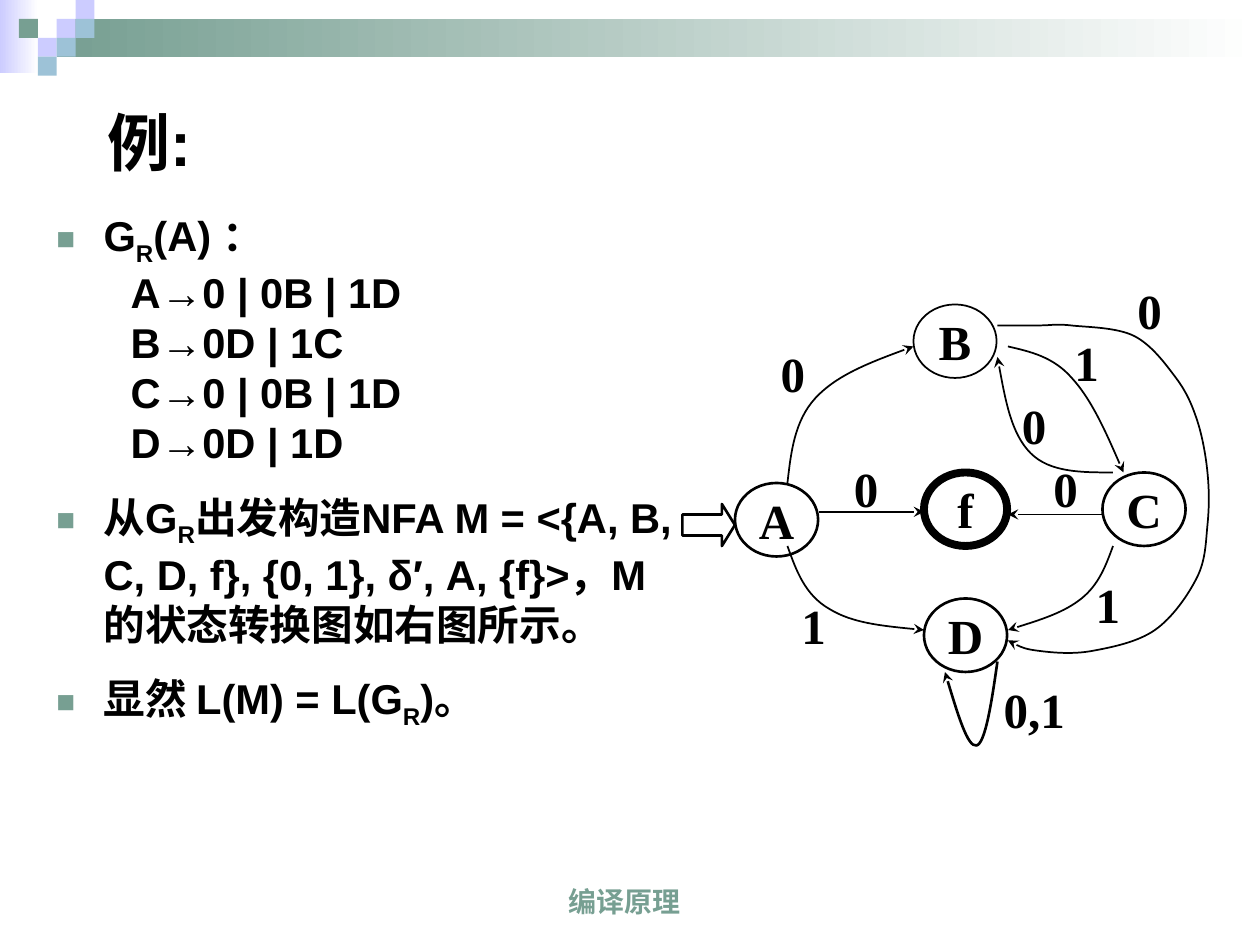
from lxml import etree
from pptx import Presentation
from pptx.dml.color import RGBColor
from pptx.enum.shapes import MSO_CONNECTOR, MSO_SHAPE
from pptx.enum.text import MSO_ANCHOR, MSO_AUTO_SIZE, PP_ALIGN
from pptx.oxml.ns import qn
from pptx.util import Pt

RECTANGLE, OVAL, RIGHT_ARROW = MSO_SHAPE.RECTANGLE, MSO_SHAPE.OVAL, MSO_SHAPE.RIGHT_ARROW
STRAIGHT = MSO_CONNECTOR.STRAIGHT
LEFT, CENTER = PP_ALIGN.LEFT, PP_ALIGN.CENTER
TOP, MIDDLE, BOTTOM = MSO_ANCHOR.TOP, MSO_ANCHOR.MIDDLE, MSO_ANCHOR.BOTTOM
NO_AUTOFIT = MSO_AUTO_SIZE.NONE

COLORS = {"green": "779F92", "lilac": "CCCCFF", "blue": "9DC2D7",
          "white": "FFFFFF", "black": "000000"}

TITLE = "例:"
FOOTER = "编译原理"
# (kind, text); "_" stands before a one-letter subscript
BODY = [
    ("item", "G_R(A) ："),
    ("rule", "A→0 | 0B | 1D"),
    ("rule", "B→0D | 1C"),
    ("rule", "C→0 | 0B | 1D"),
    ("rule", "D→0D | 1D"),
    ("item", "从G_R出发构造NFA M = <{A, B, C, D, f}, {0, 1}, δ′, A, {f}>，M的状态转换图如右图所示。"),
    ("item", "显然 L(M) = L(G_R)。"),
]

# (left, top, width, height, colour fading to white)
BANDS = [(0, 0, 22, 42, "lilac"), (32.4, 10.8, 687.6, 21.6, "green")]
TILE = 10.8
# (column, row, colour)
TILES = [(3, 1, "lilac"), (4, 0, "lilac"), (4, 1, "blue"), (2, 2, "lilac"),
         (1, 1, "green"), (3, 2, "blue"), (2, 3, "blue")]

STATE_SIZE = (47.5, 42)
# (name, left, top, line width)
STATES = [("A", 420, 276, 1.5), ("B", 522, 174, 1), ("C", 630, 270, 1.5),
          ("D", 528, 342, 1.5), ("f", 528, 270, 4.5)]
LABEL_SIZE = (66, 42)
LABELS = [("1", 588, 186), ("0", 420, 192), ("0,1", 558, 384), ("1", 432, 336),
          ("1", 600, 324), ("0", 558, 222), ("0", 624, 156), ("0", 462, 258),
          ("0", 576, 258)]
START_ARROW = (390, 288, 30, 24)
STRAIGHT_EDGES = [(468, 292.5, 528, 292.5), (630, 294, 576, 294)]
# (line width, start point followed by three Bézier points per segment)
CURVED_EDGES = {
    "D to D": (1.5, [(570, 378), (566.6, 402), (563, 425), (558, 426),
                     (553, 427), (546.5, 405.5), (540, 384)]),
    "A to B": (1, [(450, 276), (452, 258.5), (454, 240.5), (466, 227.5),
                   (478, 214.5), (500, 206), (522, 198)]),
    "A to D": (1, [(450, 312), (455, 326), (460, 340), (474, 348),
                   (487, 356), (507, 358), (528, 360)]),
    "C to B": (1, [(636, 270), (618, 270), (600, 270), (589, 259),
                   (578, 248), (574, 226), (570, 204)]),
    "B to C": (1, [(576, 198), (589, 201), (602, 204), (612.5, 216),
                   (623.5, 228), (633, 249), (642, 270)]),
    "C to D": (1, [(636, 312), (632, 323), (628, 334), (618, 342),
                   (608, 350), (592, 355), (576, 360)]),
    "B to D": (1, [(570, 186), (578, 186), (587, 186), (594, 186),
                   (601, 186), (603, 185), (612, 186), (620.5, 187), (638, 187), (648, 192),
                   (658, 197), (666, 208), (672, 216), (678, 224), (681, 231), (684, 240),
                   (687, 249), (689, 260), (690, 270), (691, 280), (691, 290), (690, 300),
                   (689, 310), (689, 320), (684, 330), (679, 340), (670, 353), (660, 360),
                   (650, 367), (635, 370), (624, 372), (613, 374), (602, 373), (594, 372),
                   (586, 371), (581, 369), (576, 366)]),
}


def rgb(name):
    return RGBColor.from_string(COLORS[name])


def points(values):
    return [Pt(value) for value in values]


def write(paragraph, text, size=28, font="Times New Roman", color="black", align=CENTER):
    """Write bold text, turning the letter after each "_" into a subscript."""
    paragraph.alignment = align
    first, *others = text.split("_")
    pieces = [(first, False)]
    for other in others:
        pieces += [(other[0], True), (other[1:], False)]
    for piece, subscript in pieces:
        run = paragraph.add_run()
        run.text = piece
        run.font.size, run.font.name, run.font.bold = Pt(size), font, True
        run.font.color.rgb = rgb(color)
        if subscript:
            run.font._element.set("baseline", "-25000")


def prepare_frame(shape, anchor=MIDDLE, wrap=True):
    frame = shape.text_frame
    frame.auto_size, frame.word_wrap, frame.vertical_anchor = NO_AUTOFIT, wrap, anchor
    return frame


def place(shape, *box):
    shape.left, shape.top, shape.width, shape.height = points(box)


def add_plain_shape(slide, kind, box, line_width=None):
    shape = slide.shapes.add_shape(kind, *points(box))
    shape.shadow.inherit = False
    shape.fill.background()
    if line_width:
        draw_line(shape, line_width)
    else:
        shape.line.fill.background()
    return shape


def draw_line(shape, width, arrow=False):
    shape.line.color.rgb = rgb("black")
    shape.line.width = Pt(width)
    if arrow:
        line = shape.line._get_or_add_ln()
        etree.SubElement(line, qn("a:tailEnd"), type="stealth")


def add_curve(slide, width, curve):
    start, *rest = [points(point) for point in curve]
    builder = slide.shapes.build_freeform(*start)
    builder.add_line_segments(rest, close=False)
    shape = builder.convert_to_shape()
    shape.shadow.inherit = False
    shape.fill.background()
    draw_line(shape, width, arrow=True)
    # every three straight segments become one Bézier segment
    segments = shape.element.xpath(".//a:lnTo")
    outline = segments[0].getparent()
    for index in range(0, len(segments), 3):
        bezier = etree.SubElement(outline, qn("a:cubicBezTo"))
        for segment in segments[index:index + 3]:
            bezier.append(segment[0])
            outline.remove(segment)


def set_bullet(paragraph):
    properties = paragraph._p.get_or_add_pPr()
    color = etree.SubElement(properties, qn("a:buClr"))
    etree.SubElement(color, qn("a:srgbClr"), val=COLORS["green"])
    etree.SubElement(properties, qn("a:buSzPct"), val="75000")
    etree.SubElement(properties, qn("a:buFont"), typeface="Arial")
    etree.SubElement(properties, qn("a:buChar"), char="■")


def set_indent(paragraph, margin, indent):
    properties = paragraph._p.get_or_add_pPr()
    properties.set("marL", str(Pt(margin)))
    properties.set("indent", str(Pt(indent)))


def fill_body(body):
    frame = prepare_frame(body, TOP)
    for index, (kind, text) in enumerate(BODY):
        paragraph = frame.add_paragraph() if index else frame.paragraphs[0]
        if kind == "item":
            set_indent(paragraph, 27, -27)
            set_bullet(paragraph)
        else:
            paragraph.level = 1
            set_indent(paragraph, 65, -22.5)
            etree.SubElement(paragraph._p.get_or_add_pPr(), qn("a:buNone"))
        paragraph.space_before = Pt(14 if index and kind == "item" else 0)
        write(paragraph, text, size=23.8, font="Arial", align=LEFT)


def draw_header(slide):
    for *box, color in BANDS:
        fill = add_plain_shape(slide, RECTANGLE, box).fill
        fill.gradient()
        fill.gradient_angle = 0
        for stop, name in zip(fill.gradient_stops, (color, "white")):
            stop.color.rgb = rgb(name)
    for column, row, color in TILES:
        tile = add_plain_shape(slide, RECTANGLE, (column * TILE, row * TILE, TILE, TILE))
        tile.fill.solid()
        tile.fill.fore_color.rgb = rgb(color)


def draw_automaton(slide):
    for name, left, top, width in STATES:
        state = add_plain_shape(slide, OVAL, (left, top, *STATE_SIZE), width)
        write(prepare_frame(state, wrap=False).paragraphs[0], name)
    arrow = add_plain_shape(slide, RIGHT_ARROW, START_ARROW, 1.5)
    arrow.adjustments[1] = 0.31
    for edge in STRAIGHT_EDGES:
        connector = slide.shapes.add_connector(STRAIGHT, *points(edge))
        draw_line(connector, 1, arrow=True)
        etree.SubElement(connector.element.spPr, qn("a:effectLst"))
    for width, curve in CURVED_EDGES.values():
        add_curve(slide, width, curve)
    for text, left, top in LABELS:
        label = slide.shapes.add_textbox(*points((left, top, *LABEL_SIZE)))
        write(prepare_frame(label, wrap=False).paragraphs[0], text)


def main():
    presentation = Presentation()
    presentation.slide_width, presentation.slide_height = Pt(720), Pt(540)
    slide = presentation.slides.add_slide(presentation.slide_layouts[1])
    title, body = slide.placeholders
    draw_header(slide)
    place(title, 54, 36, 648, 90)
    write(prepare_frame(title).paragraphs[0], TITLE, size=36, font="Arial", align=LEFT)
    place(body, 25, 116.5, 372, 342)
    fill_body(body)
    footer = slide.shapes.add_textbox(*points((229.5, 492, 255, 36)))
    write(prepare_frame(footer, BOTTOM).paragraphs[0], FOOTER, size=16, font="Arial", color="green")
    draw_automaton(slide)
    presentation.save("out.pptx")


if __name__ == "__main__":
    main()
